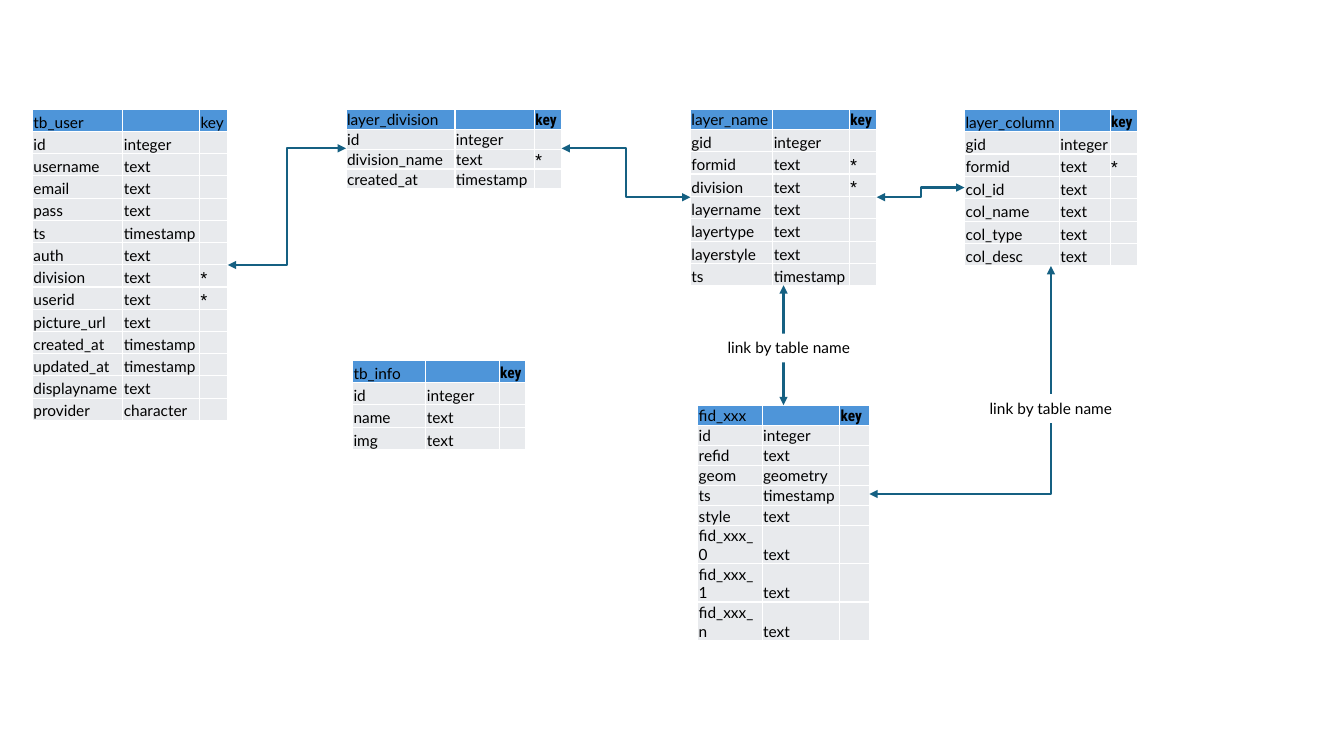
from dataclasses import dataclass
from pptx import Presentation
from pptx.dml.color import RGBColor
from pptx.enum.shapes import MSO_CONNECTOR, MSO_SHAPE
from pptx.enum.text import MSO_ANCHOR, PP_ALIGN
from pptx.oxml.ns import qn
from pptx.util import Pt
from lxml.etree import SubElement


@dataclass(frozen=True)
class Theme:
    head: str = "4E95D9"
    body: str = "E8EAED"
    white: str = "FFFFFF"
    ink: str = "000000"
    link: str = "156082"
    font: str = "Lato"
    mark: str = "Roboto Condensed"
    size: float = 11
    edge: float = 1
    stroke: float = 1.5


THEME = Theme()

USER = """id integer
username text
email text
pass text
ts timestamp
auth text
division text *
userid text *
picture_url text
created_at timestamp
updated_at timestamp
displayname text
provider character"""
INFO = """id integer
name text
img text"""
LAYER = """gid integer
formid text *
division text *
layername text
layertype text
layerstyle text
ts timestamp"""
DIVISION = """id integer
division_name text *
created_at timestamp"""
COLUMN = """gid integer
formid text *
col_id text
col_name text
col_type text
col_desc text"""
FID = """id integer
refid text
geom geometry
ts timestamp
style text
fid_xxx_0 text
fid_xxx_1 text
fid_xxx_n text"""


def paint(fill, color):
    fill.solid()
    fill.fore_color.rgb = RGBColor.from_string(color)


def style(run, font, bold=False):
    run.font.name = font
    run.font.size = Pt(THEME.size)
    run.font.bold = bold
    run.font.color.rgb = RGBColor.from_string(THEME.ink)


def border(cell):
    props = cell._tc.get_or_add_tcPr()
    for side in ("a:lnL", "a:lnR", "a:lnT", "a:lnB"):
        line = SubElement(props, qn(side), w=str(Pt(THEME.edge)))
        fill = SubElement(line, qn("a:solidFill"))
        SubElement(fill, qn("a:srgbClr"), val=THEME.white)


def fill_cell(cell, text, color, font, bold):
    border(cell)
    paint(cell.fill, color)
    cell.margin_left = cell.margin_right = cell.margin_top = Pt(0.72)
    cell.margin_bottom = Pt(0)
    cell.vertical_anchor = MSO_ANCHOR.BOTTOM
    para = cell.text_frame.paragraphs[0]
    if text:
        para.text = text
        style(para.runs[0], font, bold)
    else:
        SubElement(para._p, qn("a:endParaRPr"), sz=str(int(THEME.size * 100)))


def add_entity(slide, title, fields, left, top, widths, height,
               head=None, strong=True):
    rows = [[title, "", "key"]] + [line.split() for line in fields.splitlines()]
    frame = slide.shapes.add_table(len(rows), 3, Pt(left), Pt(top),
                                   Pt(sum(widths)), Pt(height * len(rows)))
    table = frame.table
    table.first_row = table.horz_banding = False
    for column, width in zip(table.columns, widths):
        column.width = Pt(width)
    for r, row in enumerate(rows):
        first = r == 0
        table.rows[r].height = Pt(head if first and head else height)
        for c in range(3):
            text = row[c] if c < len(row) else ""
            bold = first and c == 2 and strong
            font = THEME.mark if bold or text == "*" else THEME.font
            color = THEME.head if first else THEME.body
            fill_cell(table.cell(r, c), text, color, font, bold)
    frame.height = sum(row.height for row in table.rows)
    return frame


def anchor(frame, side):
    x, y = {"left": (0, 0.5), "right": (1, 0.5),
            "top": (0.5, 0), "bottom": (0.5, 1)}[side]
    return int(frame.left + frame.width * x), int(frame.top + frame.height * y)


def add_link(slide, start, end, kind=MSO_CONNECTOR.ELBOW, corner=False):
    link = slide.shapes.add_connector(kind, *start, *end)
    link.line.width = Pt(THEME.stroke)
    paint(link.line.fill, THEME.link)
    line = link.line._get_or_add_ln()
    for tip in ("a:headEnd", "a:tailEnd"):
        SubElement(line, qn(tip), type="triangle")
    props = link._element.spPr
    SubElement(props, qn("a:effectLst"))
    if corner:
        props.find(qn("a:prstGeom")).set("prst", "bentConnector2")


def add_label(slide, text, left, top):
    label = slide.shapes.add_shape(MSO_SHAPE.RECTANGLE, Pt(left), Pt(top),
                                   Pt(123), Pt(20.6))
    label.shadow.inherit = False
    paint(label.fill, THEME.white)
    label.line.fill.background()
    frame = label.text_frame
    frame.word_wrap = True
    frame.vertical_anchor = MSO_ANCHOR.TOP
    frame.text = text
    frame.paragraphs[0].alignment = PP_ALIGN.LEFT
    style(frame.paragraphs[0].runs[0], THEME.font)


def main():
    deck = Presentation()
    deck.slide_width, deck.slide_height = Pt(960), Pt(540)
    slide = deck.slides.add_slide(deck.slide_layouts[6])
    top = 78
    user = add_entity(slide, "tb_user", USER, 23.2, top, (64.6, 54.8, 20.2),
                      15.9, strong=False)
    add_entity(slide, "tb_info", INFO, 251.8, 257.2, (52.4, 52.4, 19.2), 16)
    layer = add_entity(slide, "layer_name", LAYER, 493.2, top,
                       (58.8, 54.8, 19.4), 16, head=13.8)
    part = add_entity(slide, "layer_division", DIVISION, 247.2, top,
                      (77.8, 56.8, 19.4), 14)
    column = add_entity(slide, "layer_column", COLUMN, 689, top,
                        (67.8, 36.2, 19.4), 16)
    fid = add_entity(slide, "fid_xxx", FID, 498.4, 289.4, (46, 55.4, 21.2), 14.1)

    add_link(slide, anchor(user, "right"), anchor(part, "left"))
    add_link(slide, anchor(part, "right"), anchor(layer, "left"))
    add_link(slide, anchor(layer, "right"), anchor(column, "left"))
    add_link(slide, anchor(fid, "top"), anchor(layer, "bottom"),
             MSO_CONNECTOR.STRAIGHT)
    add_link(slide, anchor(fid, "right"), anchor(column, "bottom"), corner=True)
    for left, y in ((512.6, 238.3), (699.8, 281.5)):
        add_label(slide, "link by table name", left, y)
    deck.save("out.pptx")


if __name__ == "__main__":
    main()
